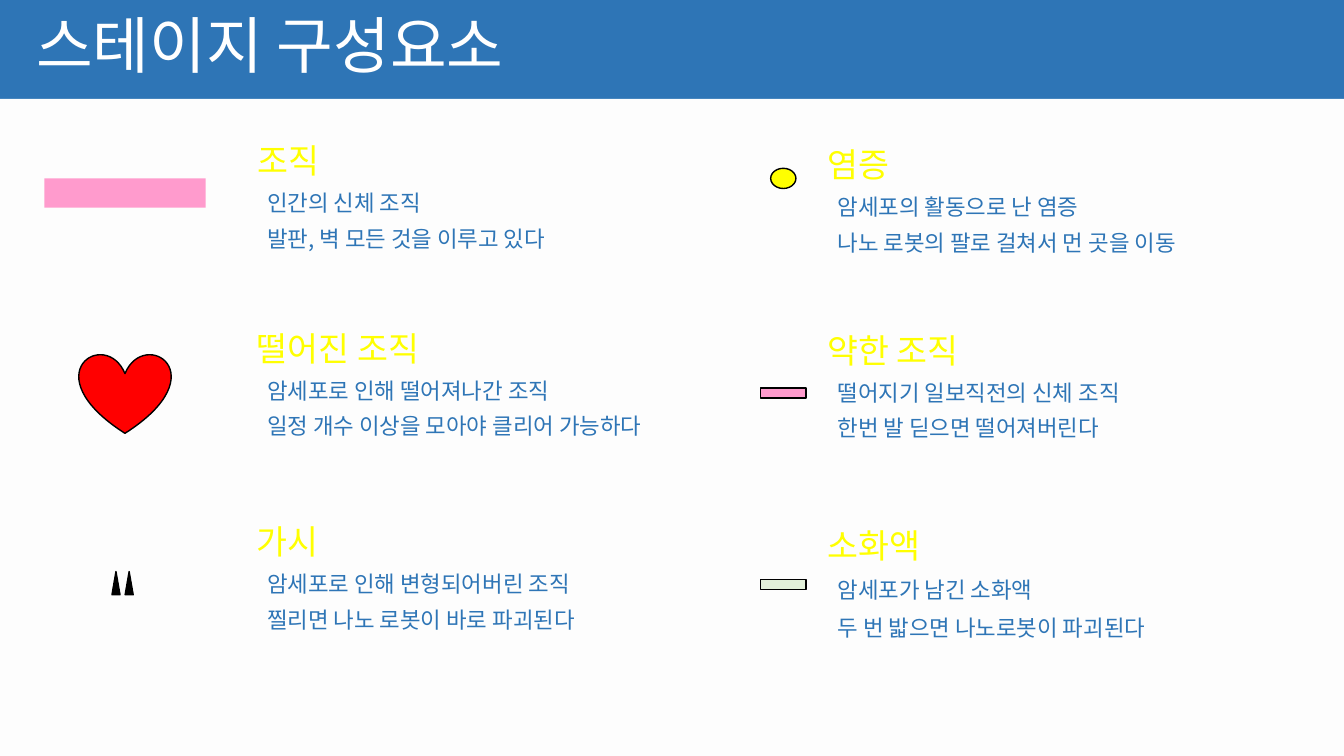
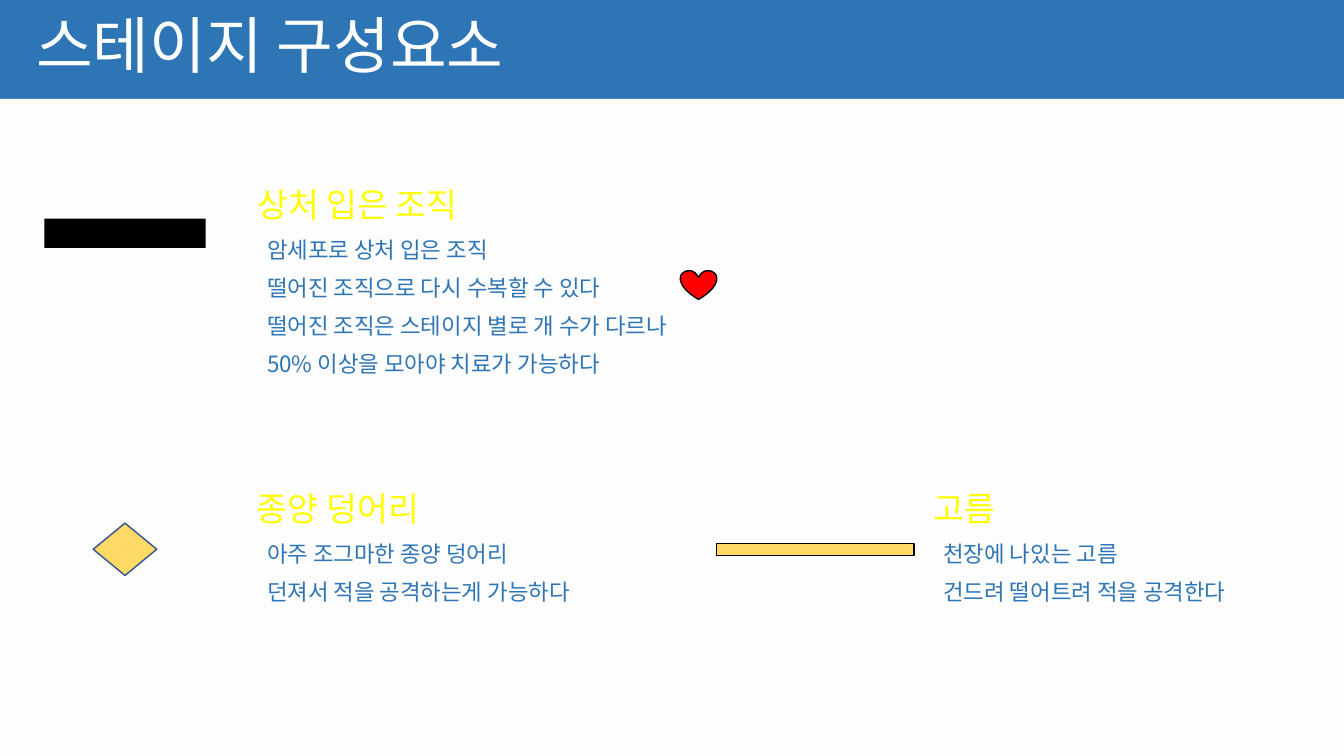
from lxml import etree
from pptx import Presentation
from pptx import util as u
from pptx.dml.color import RGBColor
from pptx.enum import shapes, text
from pptx.oxml.ns import qn

W, H = u.Inches(13.333), u.Inches(7.5)
FONT = "Noto Sans CJK KR"
BLUE = RGBColor(0x2E, 0x75, 0xB6)
PAPER = RGBColor(0xFD, 0xFD, 0xFD)
WHITE = RGBColor(0xFF, 0xFF, 0xFF)
BLACK = RGBColor(0, 0, 0)
YELLOW = RGBColor(0xFF, 0xFF, 0)
PINK = RGBColor(0xFF, 0x9B, 0xCD)
RED = RGBColor(0xFF, 0, 0)
MINT = RGBColor(0xE2, 0xF0, 0xD9)
GOLD = RGBColor(0xFF, 0xD9, 0x66)
NAVY = RGBColor(0x32, 0x54, 0x91)

KIND = shapes.MSO_SHAPE
RECT, OVAL, HEART = KIND.RECTANGLE, KIND.OVAL, KIND.HEART
SPIKE, GEM = KIND.ISOSCELES_TRIANGLE, KIND.DIAMOND
LEFT, RIGHT, FAR = 18.38, 60.83, 68.7
HEAD = 13.07
TITLE = "스테이지 구성요소"

STAGE = [
    ((LEFT, 18.93, 35.03, 16.13), 0.8,
     ["조직", "인간의 신체 조직", "발판, 벽 모든 것을 이루고 있다"],
     [(RECT, -9.08, 6.6, 12, 3.87, PINK, None)]),
    ((LEFT, 43.73, 35.78, 16.13), 0.8,
     ["떨어진 조직", "암세포로 인해 떨어져나간 조직",
      "일정 개수 이상을 모아야 클리어 가능하다"],
     [(HEART, -9.08, 8.33, 6.83, 10.53, RED, BLACK)]),
    ((LEFT, 69.33, 35.78, 16.13), 0.8,
     ["가시", "암세포로 인해 변형되어버린 조직", "찔리면 나노 로봇이 바로 파괴된다"],
     [(SPIKE, x, 7.8, 0.6, 3.07, BLACK, BLACK) for x in (-9.75, -8.77)]),
    ((RIGHT, 19.47, 35.03, 16.13), 0.8,
     ["염증", "암세포의 활동으로 난 염증", "나노 로봇의 팔로 걸쳐서 먼 곳을 이동"],
     [(OVAL, -2.55, 4.13, 1.88, 2.67, YELLOW, BLACK)]),
    ((RIGHT, 44, 35.03, 16.13), 0.8,
     ["약한 조직", "떨어지기 일보직전의 신체 조직", "한번 발 딛으면 떨어져버린다"],
     [(RECT, -2.55, 8, 3.38, 1.33, PINK, BLACK)]),
    ((RIGHT, 69.33, 35.03, 20.27), 0.9,
     ["소화액", "암세포가 남긴 소화액", "두 번 밟으면 나노로봇이 파괴된다"],
     [(RECT, -2.55, 8, 3.38, 1.33, MINT, BLACK)]),
]
WOUND = [
    ((LEFT, 24.27, 41.78, 36.8), 0.9,
     ["상처 입은 조직", "암세포로 상처 입은 조직", "떨어진 조직으로 다시 수복할 수 있다",
      "떨어진 조직은 스테이지 별로 개 수가 다르나",
      "50% 이상을 모아야 치료가 가능하다"],
     [(RECT, -9.08, 6.6, 12, 3.87, BLACK, None),
      (HEART, 33.6, 13.4, 2.7, 3.87, RED, BLACK)]),
    ((LEFT, 64.53, 30.15, 21.6), 0.9,
     ["종양 덩어리", "아주 조그마한 종양 덩어리", "던져서 적을 공격하는게 가능하다"],
     [(GEM, -9.08, 8.13, 4.73, 6.93, GOLD, NAVY)]),
    ((FAR, 64.53, 30.15, 21.6), 0.9,
     ["고름", "천장에 나있는 고름", "건드려 떨어트려 적을 공격한다"],
     [(RECT, -8.03, 8.13, 14.7, 1.6, GOLD, BLACK)]),
]


def area(x, y, w, h):
    """Turn percent shares of the slide into lengths."""
    return [round(v * n / 100) for v, n in zip((x, y, w, h), (W, H, W, H))]


def place(shape, box):
    """Move a shape to a box given in shares."""
    shape.left, shape.top, shape.width, shape.height = area(*box)


def write(para, words, size, color):
    """Add one run in the deck's font."""
    run = para.add_run()
    run.text = words
    font = run.font
    font.name, font.size, font.color.rgb = FONT, u.Pt(size), color
    etree.SubElement(font._element, qn("a:ea"), typeface=FONT)
    return font


def edge(font):
    """Give letters a thin black outline."""
    line = etree.Element(qn("a:ln"), w=str(u.Pt(0.75)))
    fill = etree.SubElement(line, qn("a:solidFill"))
    etree.SubElement(fill, qn("a:srgbClr"), val=str(BLACK))
    font._element.insert(0, line)


def draw(slide, kind, box, fill, line=None):
    """Draw one flat shape."""
    shape = slide.shapes.add_shape(kind, *area(*box))
    shape.shadow.inherit = False
    shape.fill.solid()
    shape.fill.fore_color.rgb = fill
    if line is None:
        shape.line.fill.background()
    else:
        shape.line.color.rgb, shape.line.width = line, u.Pt(1)
    return shape


def fill(shape, lines, space):
    """Set a heading and its indented lines."""
    frame = shape.text_frame
    frame.word_wrap = True
    frame.auto_size = text.MSO_AUTO_SIZE.NONE
    for i, words in enumerate(lines):
        para = frame.add_paragraph() if i else frame.paragraphs[0]
        para.line_spacing, para.space_before = space, u.Pt(10)
        props = para._p.get_or_add_pPr()
        props.set("marL", str(u.Inches(0.1) if i else 0))
        props.set("indent", "0")
        etree.SubElement(props, qn("a:buNone"))
        if i:
            write(para, words, 16, BLUE)
        else:
            edge(write(para, words, 24, YELLOW))


def entry(slide, box, space, lines, icons, body=None):
    """Place one element's text and the icons beside it."""
    shape = body or slide.shapes.add_textbox(*area(*box))
    place(shape, box)
    fill(shape, lines, space)
    for kind, dx, dy, w, h, tint, line in icons:
        spot = (box[0] + dx - w / 2, box[1] + dy - h / 2, w, h)
        draw(slide, kind, spot, tint, line)


def page(deck, items):
    """Build one slide from its list of elements."""
    slide = deck.slides.add_slide(deck.slide_layouts[1])
    title = slide.shapes.title
    place(title, (1.95, 0, 86.25, 12.93))
    frame = title.text_frame
    frame.vertical_anchor = text.MSO_ANCHOR.MIDDLE
    frame.auto_size = text.MSO_AUTO_SIZE.NONE
    para = frame.paragraphs[0]
    para.alignment, para.line_spacing = text.PP_ALIGN.LEFT, 0.9
    write(para, TITLE, 44, WHITE)
    for i, item in enumerate(items):
        entry(slide, *item, body=None if i else slide.placeholders[1])
    return slide


def theme(deck, slide):
    """Put the blue ground and the pale panel on the master."""
    master = deck.slide_master
    master.background.fill.solid()
    master.background.fill.fore_color.rgb = BLUE
    panel = draw(slide, RECT, (0, HEAD, 100, 100 - HEAD), PAPER)
    master.shapes.element.insert(2, panel.element)


def main():
    """Build and save the deck."""
    deck = Presentation()
    deck.slide_width, deck.slide_height = W, H
    first = page(deck, STAGE)
    theme(deck, first)
    page(deck, WOUND)
    deck.save("out.pptx")


if __name__ == "__main__":
    main()
